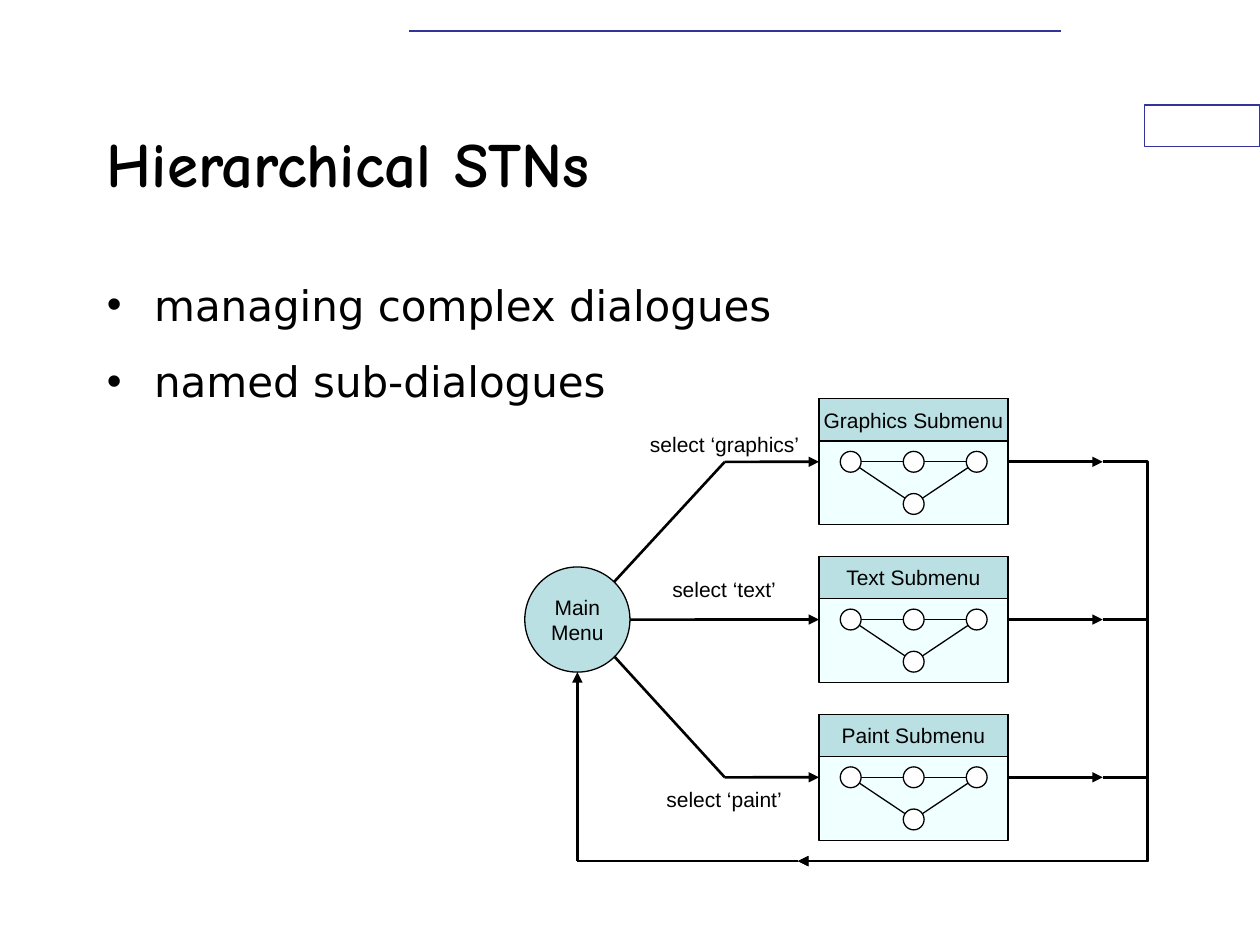
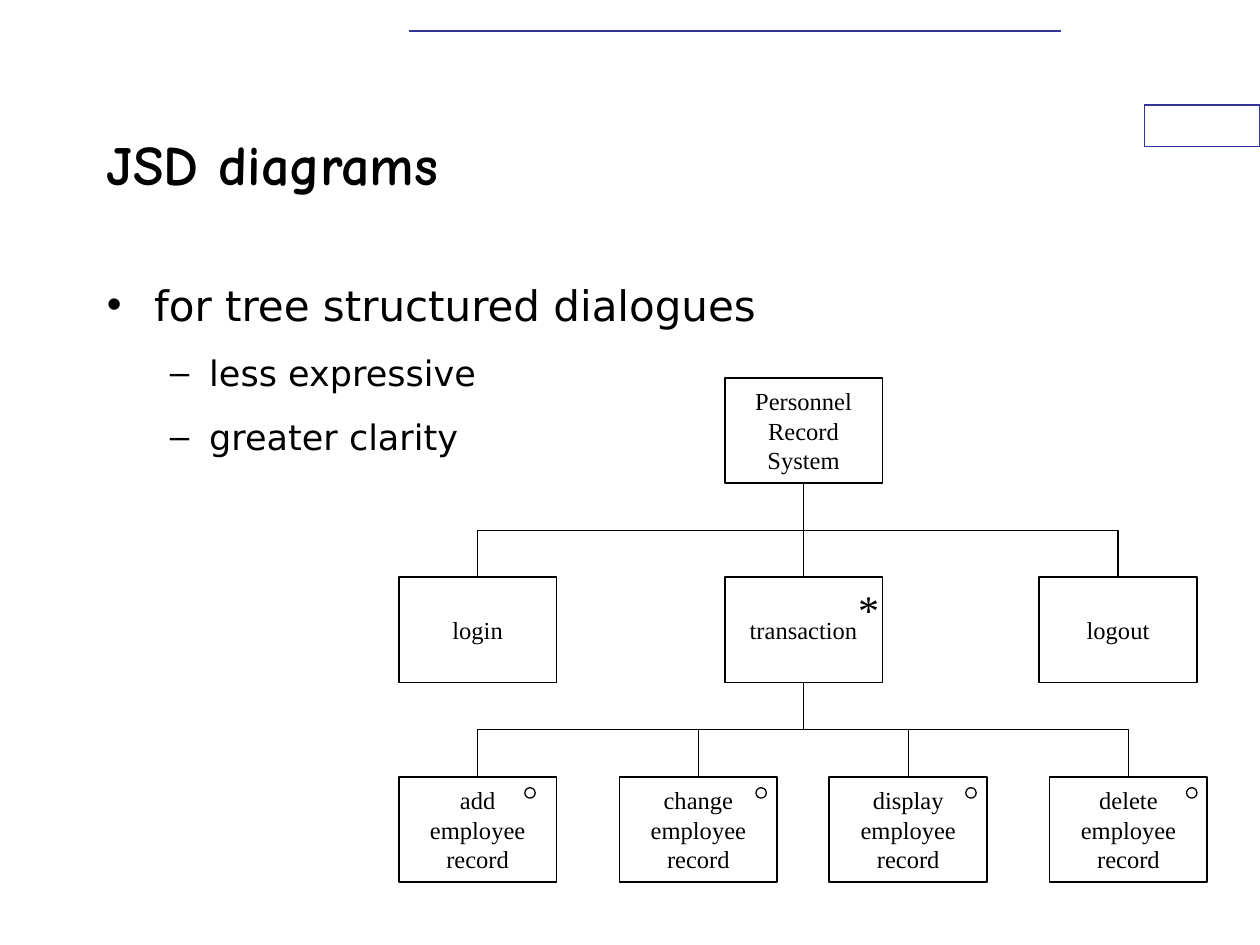
import pptx
import pptx.dml.color
import pptx.enum.shapes
import pptx.enum.text
import pptx.oxml
import pptx.oxml.ns
import pptx.util

Cm = pptx.util.Cm
Pt = pptx.util.Pt
RGBColor = pptx.dml.color.RGBColor
RECT = pptx.enum.shapes.MSO_SHAPE.RECTANGLE
OVAL = pptx.enum.shapes.MSO_SHAPE.OVAL
STRAIGHT = pptx.enum.shapes.MSO_CONNECTOR.STRAIGHT
ELBOW = pptx.enum.shapes.MSO_CONNECTOR.ELBOW
ALIGN = pptx.enum.text.PP_ALIGN
MIDDLE = pptx.enum.text.MSO_ANCHOR.MIDDLE
FIXED = pptx.enum.text.MSO_AUTO_SIZE.NONE

BLACK = RGBColor(0x00, 0x00, 0x00)
WHITE = RGBColor(0xFF, 0xFF, 0xFF)
NAVY = RGBColor(0x33, 0x33, 0x99)
TEAL = RGBColor(0xBB, 0xE0, 0xE3)
PALE = RGBColor(0xF0, 0xFF, 0xFF)
SANS = "Arial"
SERIF = "Times New Roman"
NS = pptx.oxml.ns.nsdecls("a")


def box(shapes, kind, place, fill=WHITE, ink=BLACK, width=0.75, text="", face=SANS, size=12):
    place = [Cm(n) for n in place]
    if kind is None:
        shape = shapes.add_textbox(*place)
    else:
        shape = shapes.add_shape(kind, *place)
        shape.shadow.inherit = False
        shape.fill.solid()
        shape.fill.fore_color.rgb = fill
        shape.line.color.rgb = ink
        shape.line.width = Pt(width)
    if text:
        frame = shape.text_frame
        frame.word_wrap = False
        frame.vertical_anchor = MIDDLE
        para = frame.paragraphs[0]
        para.text = text
        para.alignment = ALIGN.CENTER
        para.font.name = face
        para.font.size = Pt(size)
        para.font.color.rgb = BLACK
    return shape


def link(shapes, start, end, width=0.75, ink=BLACK, arrow=False, kind=STRAIGHT):
    line = shapes.add_connector(kind, *[Cm(n) for n in (*start, *end)])
    line.line.color.rgb = ink
    line.line.width = Pt(width)
    props = line._element.spPr
    if arrow:
        props.get_or_add_ln().append(pptx.oxml.parse_xml(f'<a:tailEnd {NS} type="triangle"/>'))
    props.append(pptx.oxml.parse_xml(f"<a:effectLst {NS}/>"))
    return line


deck = pptx.Presentation()
deck.slide_width = Cm(25.4)
deck.slide_height = Cm(19.05)

pages = [
    ("Hierarchical STNs", 36, [("managing complex dialogues", 0), ("named sub-dialogues", 0)]),
    ("JSD diagrams", 32, [
        ("for tree structured dialogues", 0),
        ("less expressive", 1),
        ("greater clarity", 1),
    ]),
]
boards = []
for name, size, items in pages:
    slide = deck.slides.add_slide(deck.slide_layouts[1])
    shapes = slide.shapes
    boards.append(shapes)
    box(shapes, RECT, (23.07, 2.12, 2.33, 0.84), ink=NAVY)
    link(shapes, (8.25, 0.63), (21.38, 0.63), 1, NAVY)

    title = shapes.title
    title.left, title.top, title.width, title.height = Cm(1.9), Cm(1.69), Cm(19.05), Cm(3.18)
    title.text_frame.vertical_anchor = MIDDLE
    title.text_frame.auto_size = FIXED
    para = title.text_frame.paragraphs[0]
    para.text = name
    para.alignment = ALIGN.LEFT
    para.font.name = "Comic Neue"
    para.font.size = Pt(size)
    para.font.bold = True
    para.font.color.rgb = BLACK

    body = slide.placeholders[1]
    body.left, body.top, body.width, body.height = Cm(1.9), Cm(5.5), Cm(21.59), Cm(11.43)
    frame = body.text_frame
    frame.auto_size = FIXED
    for i, (text, level) in enumerate(items):
        para = frame.add_paragraph() if i else frame.paragraphs[0]
        para.text = text
        para.level = level
        para.space_before = Pt(12.5 if level else 15)
        para.font.name = "DejaVu Sans"
        para.font.size = Pt(20 if level else 24)
        para.font.color.rgb = BLACK

net, tree = boards

box(net, OVAL, (10.58, 11.43, 2.12, 2.12), TEAL, text="Main\nMenu")
menus = [
    ("Graphics Submenu", "select ‘graphics’", (12.61, 8.57), [(12.38, 11.73), (14.61, 9.31)]),
    ("Text Submenu", "select ‘text’", (12.6, 11.49), [(12.7, 12.49)]),
    ("Paint Submenu", "select ‘paint’", (12.6, 15.74), [(12.38, 13.23), (14.61, 15.67)]),
]
rail, turn, port = 23.14, 16.09, 22.23
base = 17.36
for i, (name, label, spot, way) in enumerate(menus):
    top = 8.04 + 3.18 * i
    mid, low = top + 1.27, top + 2.12
    card = box(net, RECT, (16.51, top, 3.81, 2.54), PALE)
    box(net, RECT, (16.51, top, 3.81, 0.85), TEAL, text=name)
    dots = [(17.15, mid), (18.42, mid), (19.69, mid), (18.42, low)]
    for a, b in ((0, 3), (2, 3), (2, 0)):
        link(net, dots[a], dots[b])
    for x, y in dots:
        box(net, OVAL, (x - 0.21, y - 0.21, 0.42, 0.42))
    if len(way) > 1:
        link(net, *way, 1.5)
    link(net, way[-1], (16.51, mid), 1.5, arrow=True).end_connect(card, 1)
    link(net, (20.32, mid), (port, mid), 1.5, arrow=True).begin_connect(card, 3)
    loop = link(net, (port, mid), (turn, base), 1.5, arrow=True, kind=ELBOW)
    bend = round((port - rail) / (port - turn) * 100000)
    guide = pptx.oxml.parse_xml(f'<a:gd {NS} name="adj1" fmla="val {bend}"/>')
    loop._element.spPr.find(".//" + pptx.oxml.ns.qn("a:avLst")).append(guide)
    box(net, None, (*spot, 4, 0.76), text=label)

link(net, (turn, base), (11.64, base), 1.5)
link(net, (11.64, base), (11.64, 13.55), 1.5, arrow=True)

wide, high, drop = 3.18, 2.12, 1.9
root = box(tree, RECT, (14.61, 7.62, wide, high), width=1,
           text="Personnel\nRecord\nSystem", face=SERIF, size=14)
rows = [
    (11.64, [("login", 8.04), ("transaction", 14.61), ("logout", 20.95)]),
    (15.66, [
        ("add\nemployee\nrecord", 8.04),
        ("change\nemployee\nrecord", 12.49),
        ("display\nemployee\nrecord", 16.72),
        ("delete\nemployee\nrecord", 21.16),
    ]),
]
trunk = 14.61 + wide / 2
for top, nodes in rows:
    y = top - drop / 2
    for text, x in nodes:
        node = box(tree, RECT, (x, top, wide, high), width=1, text=text, face=SERIF, size=14)
        hub = x + wide / 2
        if hub == trunk:
            line = link(tree, (trunk, top - drop), (hub, top))
            line.begin_connect(root, 2)
            line.end_connect(node, 0)
            continue
        side = 1 if hub > trunk else -1
        mid, half = (trunk + hub) / 2, abs(hub - trunk) / 2
        reach = side * drop / 2
        line = link(tree, (mid + reach, y - half), (mid - reach, y + half), kind=ELBOW)
        line._element.spPr.find(pptx.oxml.ns.qn("a:xfrm")).set("rot", str(-side * 5400000 % 21600000))

for x in (10.58, 15.24, 19.47, 23.92):
    box(tree, OVAL, (x, 15.88, 0.21, 0.21))
box(tree, None, (16.94, 11.64, 1.14, 1.27), text="*", face=SERIF, size=24)

deck.save("out.pptx")
